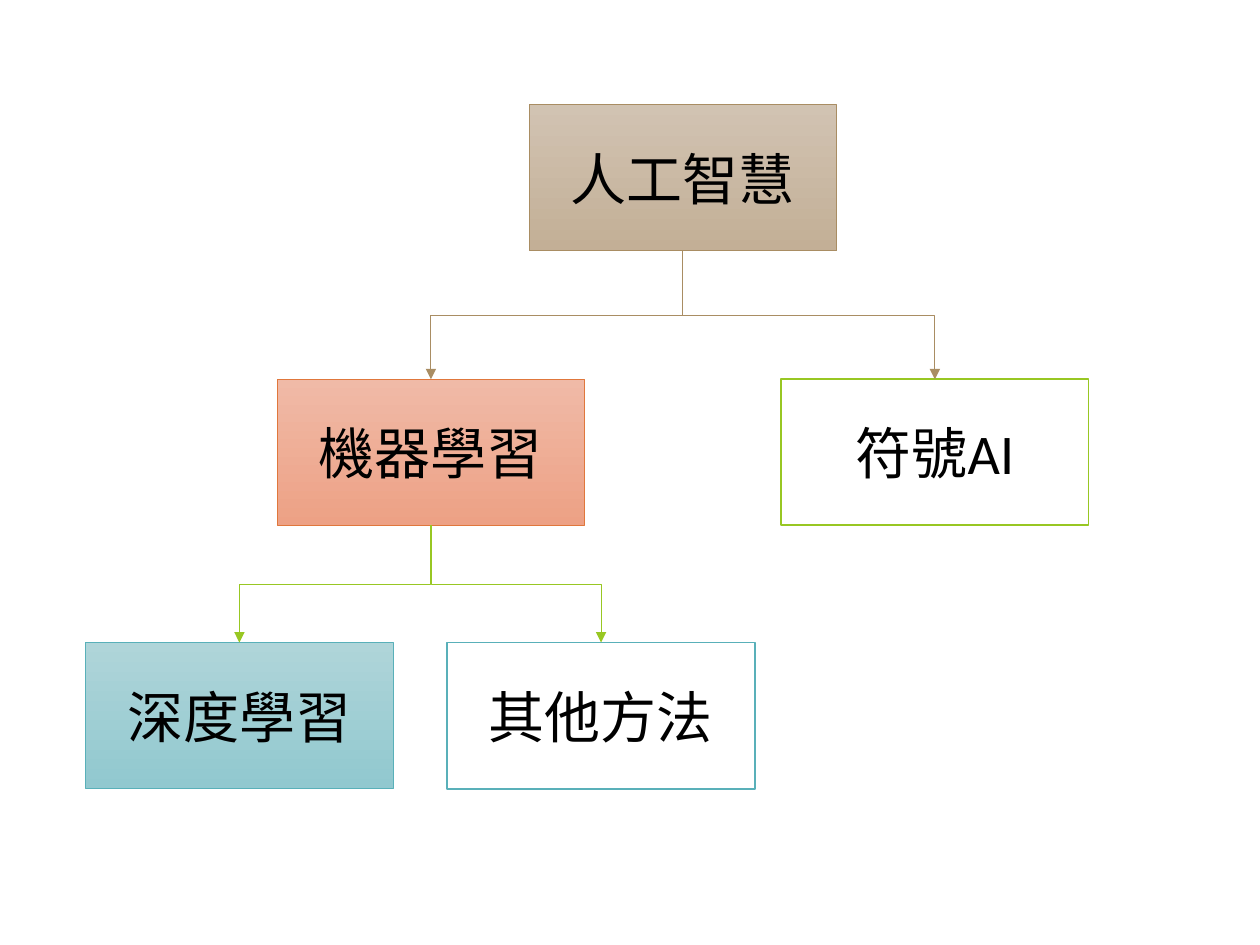
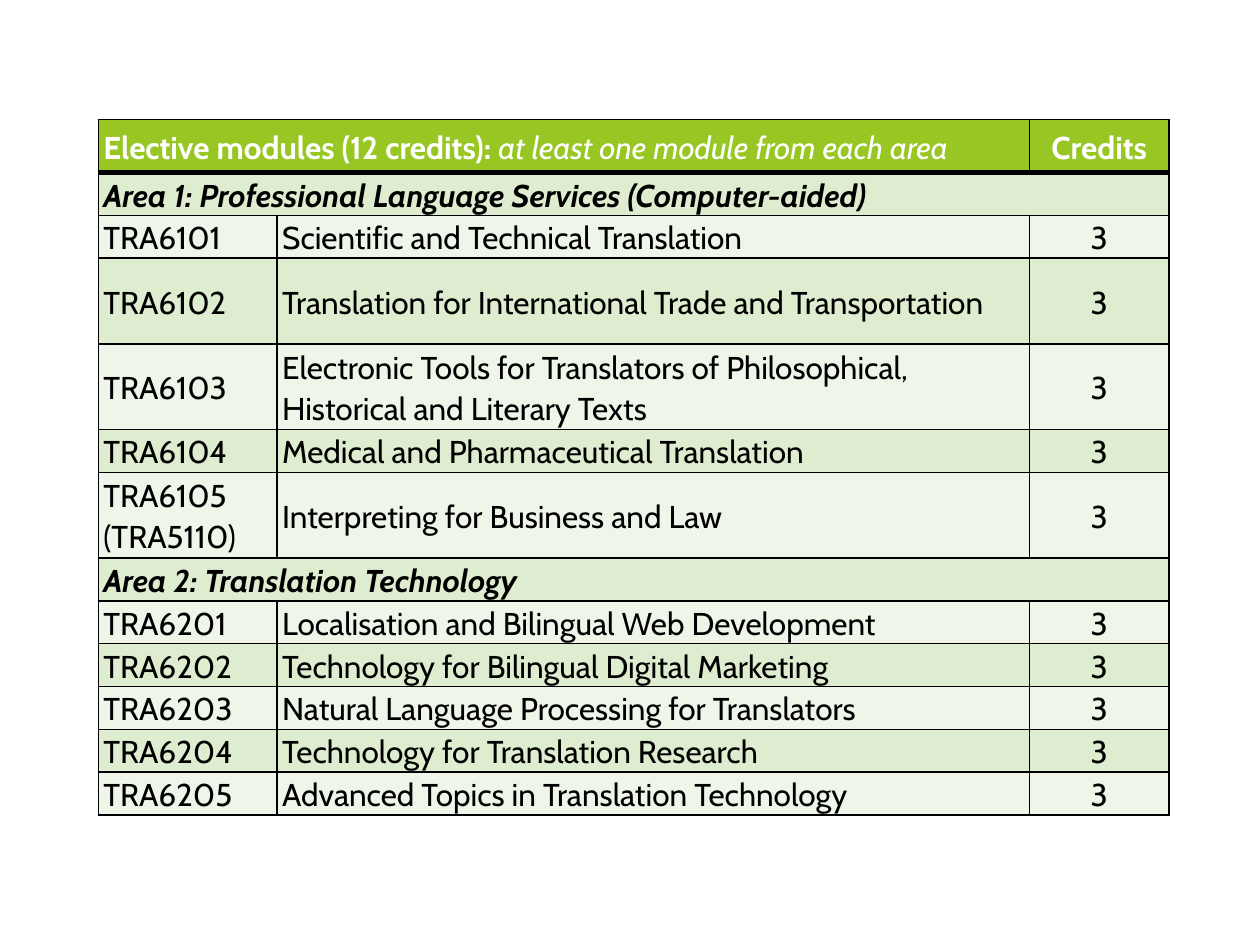
from lxml import etree
from pptx import Presentation
from pptx.dml.color import RGBColor
from pptx.enum.shapes import MSO_CONNECTOR, MSO_SHAPE
from pptx.enum.text import MSO_ANCHOR, PP_ALIGN
from pptx.oxml.ns import qn
from pptx.util import Inches, Pt

RECTANGLE = MSO_SHAPE.RECTANGLE
ELBOW = MSO_CONNECTOR.ELBOW
MIDDLE = MSO_ANCHOR.MIDDLE
LEFT, CENTER = PP_ALIGN.LEFT, PP_ALIGN.CENTER
BOTTOM_SITE, TOP_SITE = 2, 0

COLORS = {
    "black": "000000", "white": "FFFFFF",
    "brown": "A98D63", "brown_top": "D1C3B2", "brown_bottom": "C3AF96",
    "orange": "E0773C", "orange_top": "F0BAA7", "orange_bottom": "EDA185",
    "teal": "59B0B9", "teal_top": "AFD5D9", "teal_bottom": "91C8CF",
    "green": "98C723", "band_dark": "DEEDD0", "band_light": "EFF6E9",
}
CJK_FONT, LATIN_FONT, TABLE_FONT = "Noto Sans CJK TC", "Calibri", "Cabin"

# Tree: name -> label, left, top, line colour, gradient filled
NODE_SIZE = (2.44, 1.16)
NODES = {
    "ai": ("人工智慧", 3.52, 0, "brown", True),
    "machine": ("機器學習", 1.52, 2.18, "orange", True),
    "deep": ("深度學習", 0, 4.27, "teal", True),
    "symbolic": ("符號AI", 5.52, 2.18, "green", False),
    "other": ("其他方法", 2.87, 4.27, "teal", False),
}
BRANCHES = [
    ("ai", "machine", "brown"), ("ai", "symbolic", "brown"),
    ("machine", "deep", "green"), ("machine", "other", "green"),
]

# Table: an area row has one text, a module row has code and title
COLUMN_WIDTHS = (1.42, 5.97, 1.11)
HEADER_HEIGHT, ROW_HEIGHT = 0.42, 0.34
HEADER = ("Elective modules (12 credits): ", "at least one module from each area")
CREDITS = "3"
ROWS = [
    ("Area 1: Professional Language Services (Computer-aided)",),
    ("TRA6101", "Scientific and Technical Translation"),
    ("TRA6102", "Translation for International Trade and Transportation"),
    ("TRA6103", "Electronic Tools for Translators of Philosophical, "
                "Historical and Literary Texts"),
    ("TRA6104", "Medical and Pharmaceutical Translation"),
    ("TRA6105\n(TRA5110)", "Interpreting for Business and Law"),
    ("Area 2: Translation Technology",),
    ("TRA6201", "Localisation and Bilingual Web Development"),
    ("TRA6202", "Technology for Bilingual Digital Marketing"),
    ("TRA6203", "Natural Language Processing for Translators"),
    ("TRA6204", "Technology for Translation Research"),
    ("TRA6205", "Advanced Topics in Translation Technology"),
]
TALL_ROWS = {"TRA6102", "TRA6103", "TRA6105\n(TRA5110)"}


def rgb(name):
    return RGBColor.from_string(COLORS[name])


def format_run(run, size, font_name, color, bold=False, italic=False):
    font = run.font
    font.size, font.bold, font.italic = Pt(size), bold, italic
    font.color.rgb = rgb(color)
    font.name = font_name


def add_node(slide, label, left, top, color, filled):
    width, height = NODE_SIZE
    node = slide.shapes.add_shape(
        RECTANGLE, Inches(left), Inches(top), Inches(width), Inches(height))
    node.shadow.inherit = False
    if filled:
        node.fill.gradient()
        node.fill.gradient_angle = 270
        for stop, side in zip(node.fill.gradient_stops, ("top", "bottom")):
            stop.color.rgb = rgb(f"{color}_{side}")
    else:
        node.fill.solid()
        node.fill.fore_color.rgb = rgb("white")
    node.line.color.rgb = rgb(color)
    node.line.width = Pt(0.5 if filled else 1)

    text_frame = node.text_frame
    text_frame.text = label
    text_frame.vertical_anchor = MIDDLE
    paragraph = text_frame.paragraphs[0]
    paragraph.alignment = CENTER
    run = paragraph.runs[0]
    format_run(run, 32, LATIN_FONT, "black")
    etree.SubElement(run.font._element, qn("a:ea"), typeface=CJK_FONT)
    return node


def add_branch(slide, parent, child, color):
    connector = slide.shapes.add_connector(ELBOW, 0, 0, 0, 0)
    connector.begin_connect(parent, BOTTOM_SITE)
    connector.end_connect(child, TOP_SITE)

    # Turn the elbow so that it leaves downwards
    start_x, start_y = parent.left + parent.width // 2, parent.top + parent.height
    end_x, end_y = child.left + child.width // 2, child.top
    across, down = abs(end_x - start_x), end_y - start_y
    connector.left = (start_x + end_x - down) // 2
    connector.top = (start_y + end_y - across) // 2
    connector.width, connector.height = down, across
    to_right = end_x > start_x
    properties = connector._element.spPr
    transform = properties.find(qn("a:xfrm"))
    transform.set("rot", str((270 if to_right else 90) * 60000))
    transform.set("flipH", "1" if to_right else "0")
    transform.set("flipV", "0")

    connector.line.color.rgb = rgb(color)
    connector.line.width = Pt(0.5)
    etree.SubElement(properties.find(qn("a:ln")), qn("a:tailEnd"), type="triangle")
    etree.SubElement(properties, qn("a:effectLst"))


def add_tree(slide, left, top):
    nodes = {
        name: add_node(slide, label, left + x, top + y, color, filled)
        for name, (label, x, y, color, filled) in NODES.items()
    }
    for parent, child, color in BRANCHES:
        add_branch(slide, nodes[parent], nodes[child], color)


def set_borders(cell, top_width, bottom_width):
    properties = cell._tc.get_or_add_tcPr()
    widths = {"lnL": 1, "lnR": 1, "lnT": top_width, "lnB": bottom_width}
    for position, (side, width) in enumerate(widths.items()):
        border = etree.Element(qn(f"a:{side}"), w=str(Pt(width)))
        fill = etree.SubElement(border, qn("a:solidFill"))
        etree.SubElement(fill, qn("a:srgbClr"), val=COLORS["black"])
        properties.insert(position, border)


def style_cell(cell, row_index):
    band = "band_dark" if row_index % 2 else "band_light"
    cell.fill.solid()
    cell.fill.fore_color.rgb = rgb(band if row_index else "green")
    cell.vertical_anchor = MIDDLE
    cell.margin_left = cell.margin_right = Inches(0.04)
    cell.margin_top, cell.margin_bottom = Inches(0.01), 0
    set_borders(cell, 3 if row_index == 1 else 1, 1 if row_index else 3)


def write_cell(cell, text, color="black", alignment=LEFT, bold=False, italic=False):
    cell.text_frame.text = text
    for paragraph in cell.text_frame.paragraphs:
        paragraph.alignment = alignment
        paragraph.line_spacing = 1.06
        for run in paragraph.runs:
            format_run(run, 18, TABLE_FONT, color, bold, italic)


def add_module_table(slide, left, top):
    heights = [HEADER_HEIGHT] + [
        ROW_HEIGHT * (2 if row[0] in TALL_ROWS else 1) for row in ROWS]
    table = slide.shapes.add_table(
        len(heights), len(COLUMN_WIDTHS), Inches(left), Inches(top),
        Inches(sum(COLUMN_WIDTHS)), Inches(sum(heights))).table
    table.first_row = table.horz_banding = False
    for column, width in zip(table.columns, COLUMN_WIDTHS):
        column.width = Inches(width)
    for row_index, (row, height) in enumerate(zip(table.rows, heights)):
        row.height = Inches(height)
        for cell in row.cells:
            style_cell(cell, row_index)

    # Header
    title, rule = HEADER
    title_cell = table.cell(0, 0)
    title_cell.merge(table.cell(0, 1))
    write_cell(title_cell, title, "white", bold=True)
    rule_run = title_cell.text_frame.paragraphs[0].add_run()
    rule_run.text = rule
    format_run(rule_run, 18, TABLE_FONT, "white", italic=True)
    write_cell(table.cell(0, 2), "Credits", "white", CENTER, bold=True)

    # Areas and modules
    for row_index, (first, *module_title) in enumerate(ROWS, start=1):
        is_area = not module_title
        first_cell = table.cell(row_index, 0)
        write_cell(first_cell, first, bold=is_area, italic=is_area)
        if is_area:
            first_cell.merge(table.cell(row_index, 2))
        else:
            write_cell(table.cell(row_index, 1), module_title[0])
            write_cell(table.cell(row_index, 2), CREDITS, alignment=CENTER)


def main():
    presentation = Presentation()
    presentation.slide_width, presentation.slide_height = Inches(10), Inches(7.5)
    blank = presentation.slide_layouts[6]
    add_tree(presentation.slides.add_slide(blank), 0.68, 0.83)
    add_module_table(presentation.slides.add_slide(blank), 0.78, 0.95)
    presentation.save("out.pptx")


if __name__ == "__main__":
    main()
